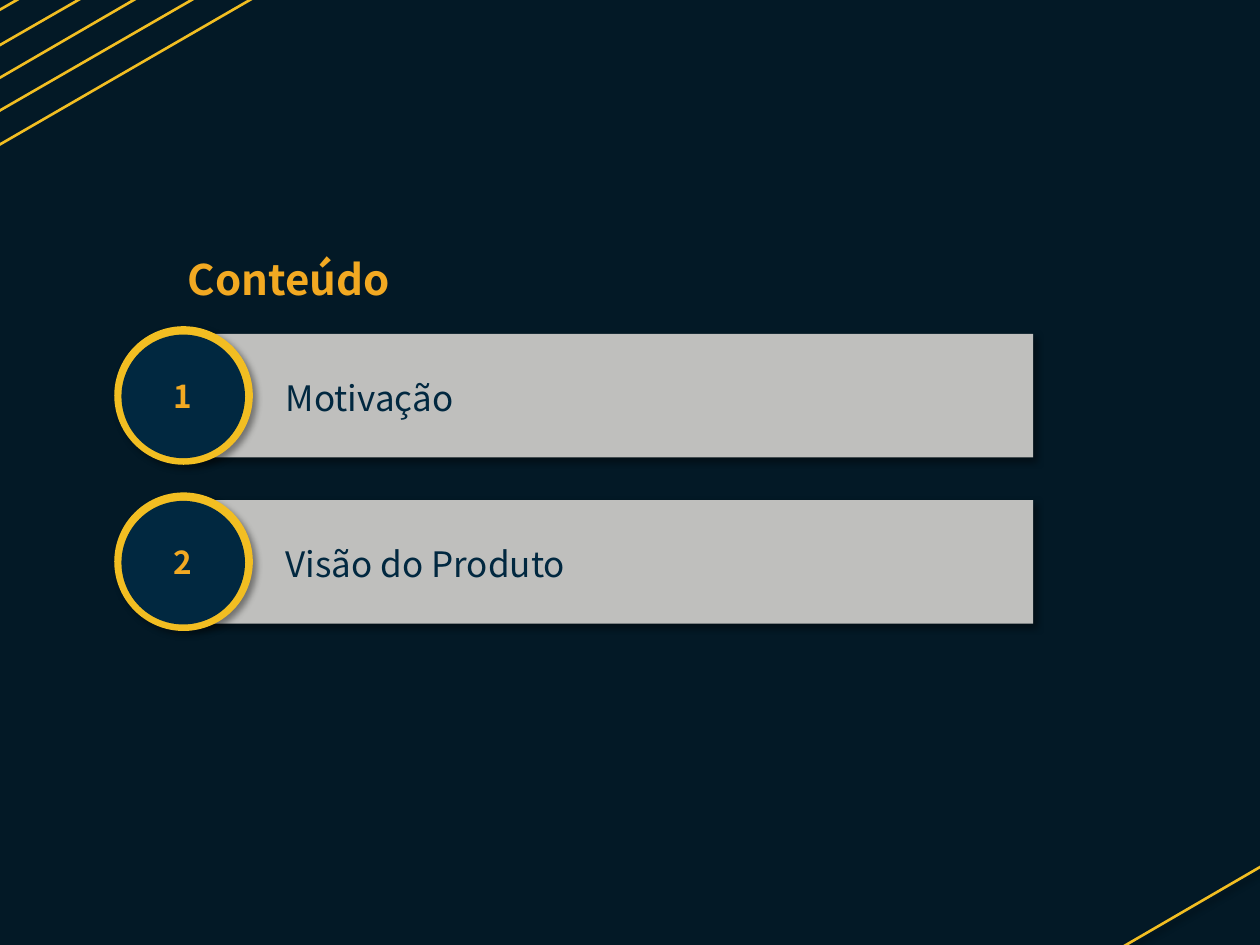
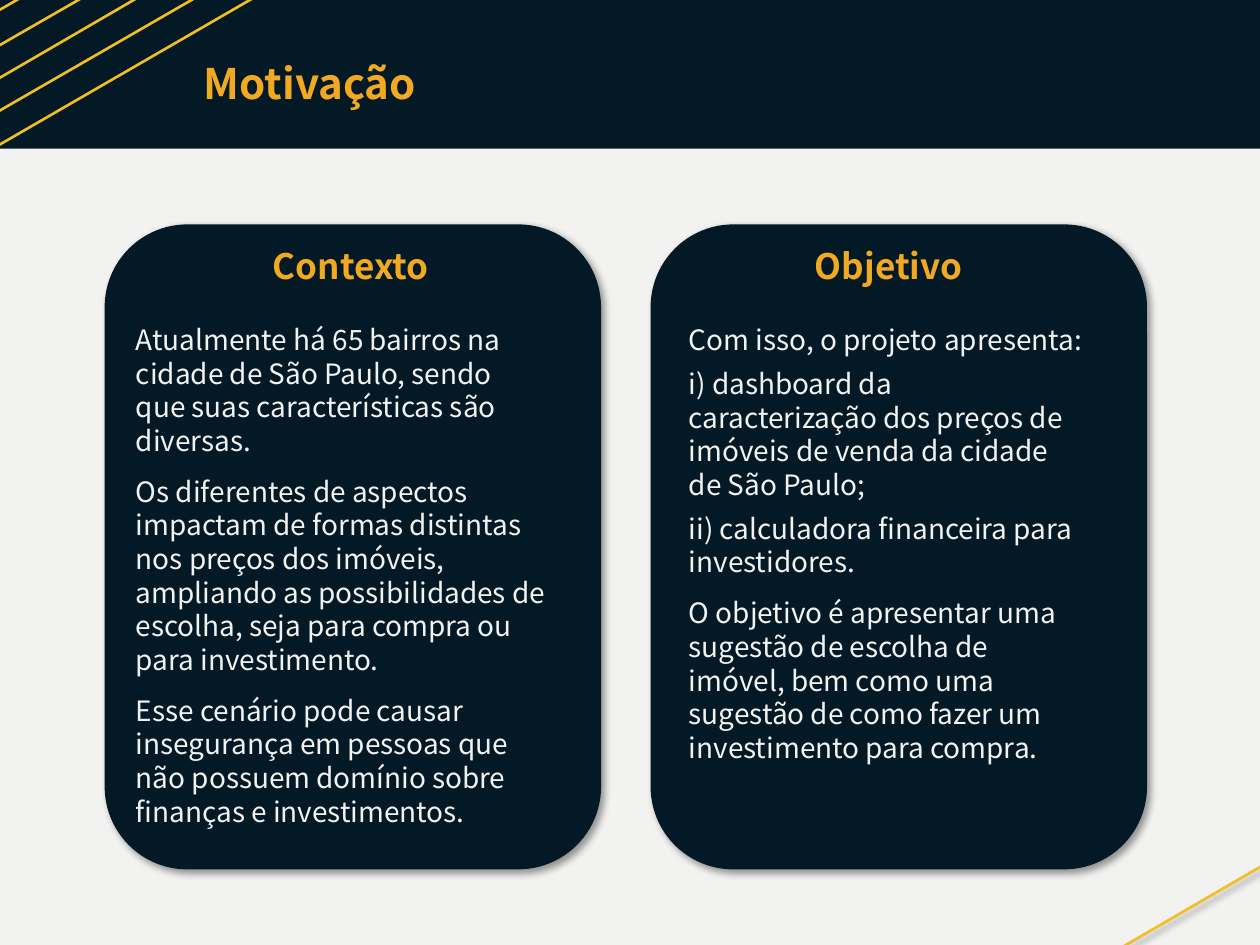
"""Builds the contents slide and the motivation slide of a housing price project."""
from lxml.etree import SubElement
from pptx import Presentation
from pptx.dml.color import RGBColor
from pptx.enum.shapes import MSO_CONNECTOR as Connector, MSO_SHAPE as Shape
from pptx.enum.text import MSO_AUTO_SIZE as AutoSize, PP_ALIGN as Align
from pptx.oxml.ns import qn
from pptx.util import Pt

TOPICS = ["Motivação", "Visão do Produto"]
CARDS = [
    {
        "heading": "Contexto", "heading_left": 75.6,
        "body_left": 70.6, "body_width": 249.1, "body_height": 298.8,
        "paragraphs": [
            ("Atualmente há 65 bairros na cidade de São Paulo, sendo que suas "
             "características são diversas.", 10),
            ("Os diferentes de aspectos impactam de formas distintas nos preços dos "
             "imóveis, ampliando as possibilidades de escolha, seja para compra ou "
             "para investimento.", 10),
            ("Esse cenário pode causar insegurança em pessoas que não possuem domínio "
             "sobre finanças e investimentos.", 10),
        ],
    },
    {
        "heading": "Objetivo", "heading_left": 383,
        "body_left": 386.6, "body_width": 241.2, "body_height": 242.6,
        "paragraphs": [
            ("Com isso, o projeto apresenta:", 6),
            ("i) dashboard da caracterização dos preços de imóveis de venda da cidade "
             "de São Paulo;", 6),
            ("ii) calculadora financeira para investidores.", 10),
            ("O objetivo é apresentar uma sugestão de escolha de imóvel, bem como uma "
             "sugestão de como fazer um investimento para compra.", 6),
        ],
    },
]

NIGHT, NAVY, PAPER, GREY = "031926", "012840", "F2F2F0", "BFBFBD"
YELLOW, ORANGE = "F2BE22", "F2A922"
FONT = "Noto Sans CJK KR"
WIDTH, HEIGHT = 720, 540
TOP_STRIPES = [
    (83.5, -22.3, -36.7, 46.8),
    (95, -10.8, -25.2, 59),
    (119.5, -5.8, -13, 70.6),
    (149, -3.6, -2.9, 84.2),
    (107.3, -56.2, -13, 13),
]
CORNER_STRIPE = (730.1, 489.6, 632.2, 546.5)
TOPIC_TOP, TOPIC_PITCH = 190.8, 95
CARD_LEFT, CARD_PITCH, CARD_TOP = 59.8, 312, 128.2


def color(code):
    return RGBColor.from_string(code)


def set_effects(drawn, shadowed):
    effects = SubElement(drawn._element.spPr, qn("a:effectLst"))
    if shadowed:
        shadow = SubElement(effects, qn("a:outerShdw"), blurRad=str(Pt(4)), dist=str(Pt(3)),
                            dir="2700000", algn="tl", rotWithShape="0")
        black = SubElement(shadow, qn("a:srgbClr"), val="000000")
        SubElement(black, qn("a:alpha"), val="40000")


def add_block(shapes, outline, box, fill, shadowed=False):
    block = shapes.add_shape(outline, *map(Pt, box))
    block.fill.solid()
    block.fill.fore_color.rgb = color(fill)
    block.line.fill.background()
    set_effects(block, shadowed)


def add_stripe(slide, ends, shadowed=False):
    stripe = slide.shapes.add_connector(Connector.STRAIGHT, *map(Pt, ends))
    stripe.line.color.rgb = color(YELLOW)
    stripe.line.width = Pt(1.5)
    set_effects(stripe, shadowed)


def add_text(shapes, box, paragraphs, size, ink, bold=False, align=Align.LEFT):
    frame = shapes.add_textbox(*map(Pt, box)).text_frame
    frame.word_wrap = True
    frame.auto_size = AutoSize.SHAPE_TO_FIT_TEXT
    for index, (words, space_after) in enumerate(paragraphs):
        paragraph = frame.add_paragraph() if index else frame.paragraphs[0]
        paragraph.alignment = align
        paragraph.line_spacing = Pt(size * 1.2)
        paragraph.space_after = Pt(space_after)
        run = paragraph.add_run()
        run.text = words
        run.font.name = FONT
        run.font.size = Pt(size)
        run.font.bold = bold
        run.font.color.rgb = color(ink)


def add_title(slide, words, left, top):
    add_text(slide.shapes, (left, top, 250, 36), [(words, 0)], 24, ORANGE, bold=True)


def add_slide(deck, background):
    slide = deck.slides.add_slide(deck.slide_layouts[6])
    slide.background.fill.solid()
    slide.background.fill.fore_color.rgb = color(background)
    return slide


def add_stripes(slide):
    for ends in TOP_STRIPES:
        add_stripe(slide, ends)
    add_stripe(slide, CORNER_STRIPE, shadowed=True)


def add_topic(slide, number, topic):
    top = TOPIC_TOP + (number - 1) * TOPIC_PITCH
    badge = slide.shapes.add_group_shape().shapes
    add_block(badge, Shape.RECTANGLE, (108.7, top, 481.7, 70.6), GREY, shadowed=True)
    add_block(badge, Shape.OVAL, (65.3, top - 4.4, 79.2, 79.2), YELLOW, shadowed=True)
    add_block(badge, Shape.OVAL, (69.4, top + 0.4, 70.6, 70.6), NAVY)
    add_text(badge, (82, top + 20.9, 45.4, 28.8), [(str(number), 0)], 18, ORANGE,
             bold=True, align=Align.CENTER)
    add_text(slide.shapes, (156.2, top + 20.9, 345.6, 31.7), [(topic, 0)], 20, NAVY)


def add_card(slide, index, card):
    left = CARD_LEFT + index * CARD_PITCH
    add_block(slide.shapes, Shape.ROUNDED_RECTANGLE, (left, CARD_TOP, 283.7, 368.6), NIGHT,
              shadowed=True)
    add_text(slide.shapes, (card["heading_left"], CARD_TOP + 7.9, 249.8, 31.7),
             [(card["heading"], 0)], 20, ORANGE, bold=True, align=Align.CENTER)
    add_text(slide.shapes,
             (card["body_left"], CARD_TOP + 52.5, card["body_width"], card["body_height"]),
             card["paragraphs"], 16, PAPER)


def main():
    deck = Presentation()
    deck.slide_width, deck.slide_height = Pt(WIDTH), Pt(HEIGHT)

    contents = add_slide(deck, NIGHT)
    for number, topic in enumerate(TOPICS, 1):
        add_topic(contents, number, topic)
    add_title(contents, "Conteúdo", 100.1, 141.1)
    add_stripes(contents)

    motivation = add_slide(deck, PAPER)
    add_block(motivation.shapes, Shape.RECTANGLE, (0, 0, WIDTH, 85), NIGHT)
    add_stripes(motivation)
    add_title(motivation, TOPICS[0], 109.4, 29.5)
    for index, card in enumerate(CARDS):
        add_card(motivation, index, card)

    deck.save("out.pptx")


if __name__ == "__main__":
    main()
